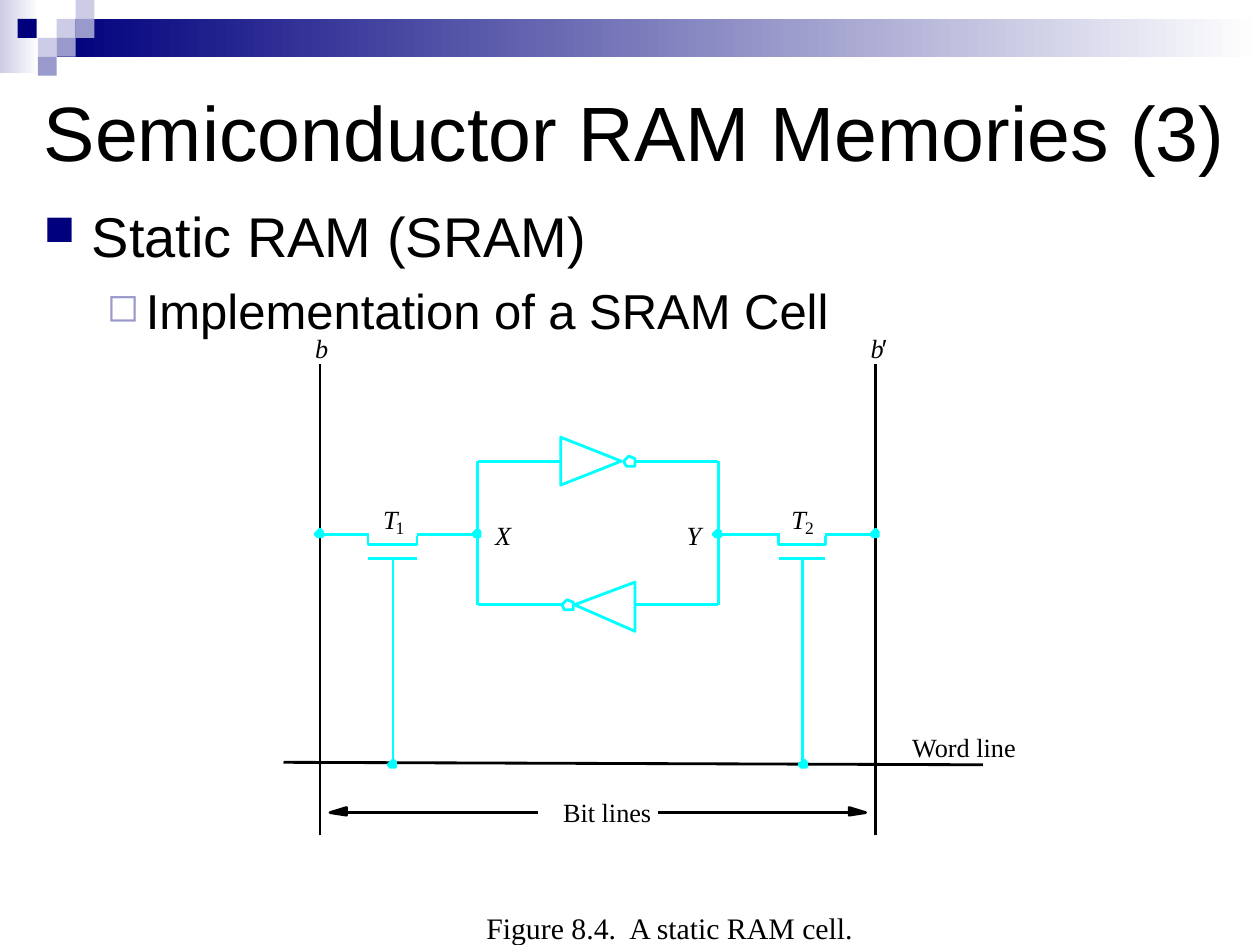
"""Build a slide showing the circuit of a static RAM cell."""
from lxml import etree
from pptx import Presentation
from pptx.dml.color import RGBColor
from pptx.enum.shapes import MSO_CONNECTOR, MSO_SHAPE
from pptx.enum.text import MSO_ANCHOR, MSO_AUTO_SIZE
from pptx.oxml.ns import qn
from pptx.util import Inches, Pt

RECTANGLE = MSO_SHAPE.RECTANGLE
STRAIGHT = MSO_CONNECTOR.STRAIGHT
MIDDLE = MSO_ANCHOR.MIDDLE
FIT_SHAPE = MSO_AUTO_SIZE.SHAPE_TO_FIT_TEXT

THEME = {
    "colors": {name: RGBColor.from_string(code) for name, code in {
        "black": "000000", "white": "FFFFFF", "cyan": "00FFFF",
        "navy": "00007D", "lilac": "9999CC", "pale": "CCCCE6"}.items()},
    "fonts": {
        "title": {"name": "Arial", "size": Pt(44)},
        "topic": {"name": "Arial", "size": Pt(32)},
        "subtopic": {"name": "Arial", "size": Pt(28)},
        "prime": {"name": "Arial", "size": Pt(15)},
        "label": {"name": "Times New Roman", "size": Pt(15)},
        "symbol": {"name": "Times New Roman", "size": Pt(15), "italic": True},
        "index": {"name": "Times New Roman", "size": Pt(10)},
        "caption": {"name": "Times New Roman", "size": Pt(17)}},
    "stroke": Pt(1.62),
}
COLORS = THEME["colors"]


def paint(shape, fill=None, stroke=None):
    shape.shadow.inherit = False
    if fill:
        shape.fill.solid()
        shape.fill.fore_color.rgb = COLORS[fill]
    else:
        shape.fill.background()
    if stroke:
        shape.line.color.rgb = COLORS[stroke]
        shape.line.width = THEME["stroke"]
    else:
        shape.line.fill.background()


def write(paragraph, text, role):
    run = paragraph.add_run()
    run.text = text
    for attribute, value in THEME["fonts"][role].items():
        setattr(run.font, attribute, value)
    run.font.color.rgb = COLORS["black"]


prs = Presentation()
prs.slide_width, prs.slide_height = Inches(10), Inches(7.5)
slide = prs.slides.add_slide(prs.slide_layouts[6])
shapes = slide.shapes

for left, top, width, height, start in [
    (0, 0, 0.31, 0.58, "pale"),
    (0.45, 0.15, 9.55, 0.3, "navy"),
]:
    band = shapes.add_shape(RECTANGLE, Inches(left), Inches(top), Inches(width), Inches(height))
    paint(band)
    band.fill.gradient()
    band.fill.gradient_angle = 0
    for stop, color in zip(band.fill.gradient_stops, (start, "white")):
        stop.color.rgb = COLORS[color]

TILE = 0.15
for left, row, color in [
    (0.45, 1, "pale"), (0.6, 0, "pale"), (0.6, 1, "lilac"), (0.3, 2, "pale"),
    (0.14, 1, "navy"), (0.45, 2, "lilac"), (0.3, 3, "lilac"),
]:
    tile = shapes.add_shape(RECTANGLE, Inches(left), Inches(row * TILE), Inches(TILE), Inches(TILE))
    paint(tile, color)

title = shapes.add_textbox(Inches(0.25), Inches(0.5), Inches(9.58), Inches(1.08)).text_frame
title.word_wrap = True
title.vertical_anchor = MIDDLE
write(title.paragraphs[0], "Semiconductor RAM Memories (3)", "title")

outline = shapes.add_textbox(Inches(0.25), Inches(1.55), Inches(9), Inches(5.2)).text_frame
outline.word_wrap = True
for level, (text, role, margin, hanging, mark, color, percent) in enumerate([
    ("Static RAM (SRAM)", "topic", 0.38, 0.38, "■", "navy", 75),
    ("Implementation of a SRAM Cell", "subtopic", 0.81, 0.31, "◻", "lilac", 80),
]):
    item = outline.add_paragraph() if level else outline.paragraphs[0]
    item.level = level
    if level:
        item.space_before = Pt(7)
    properties = item._p.get_or_add_pPr()
    properties.set("marL", str(Inches(margin)))
    properties.set("indent", str(-Inches(hanging)))
    bullet_color = etree.SubElement(properties, qn("a:buClr"))
    etree.SubElement(bullet_color, qn("a:srgbClr"), val=str(COLORS[color]))
    etree.SubElement(properties, qn("a:buSzPct"), val=str(percent * 1000))
    etree.SubElement(properties, qn("a:buChar"), char=mark)
    write(item, text, role)

BIT, BIT_BAR = 2.54, 6.95
NODE_X, NODE_Y = 3.79, 5.7
TOP, MID, LOW, WORD = 3.66, 4.24, 4.8, 6.05
GATE, ARROW = 4.43, 6.45
TRANSISTORS = [(2.92, 0.39, 3.12, BIT, NODE_X), (6.18, 0.37, 6.37, NODE_Y, BIT_BAR)]

wires = [
    (7.8, 6.07, 2.25, WORD, "black"),
    (2.75, ARROW, 4.27, ARROW, "black"),
    (6.74, ARROW, 5.22, ARROW, "black"),
]
wires += [(x, 6.63, x, 2.89, "black") for x in (BIT, BIT_BAR)]
wires += [(x, LOW, x, TOP, "cyan") for x in (NODE_X, NODE_Y)]
for y in (TOP, LOW):
    wires += [(4.45, y, NODE_X, y, "cyan"), (NODE_Y, y, 5.04, y, "cyan")]

for left, width, gate, source, drain in TRANSISTORS:
    right = left + width
    channel = shapes.add_shape(RECTANGLE, Inches(left), Inches(MID), Inches(width), Inches(0.08))
    paint(channel, stroke="cyan")
    wires += [
        (left, MID, source, MID, "cyan"),
        (right, GATE, left, GATE, "cyan"),
        (gate, WORD, gate, GATE, "cyan"),
        (left + 0.01, MID, left + 0.48, MID, "white"),
        (drain, MID, right, MID, "cyan"),
    ]

for x1, y1, x2, y2, color in wires:
    wire = shapes.add_connector(STRAIGHT, Inches(x1), Inches(y1), Inches(x2), Inches(y2))
    wire.line.color.rgb = COLORS[color]
    wire.line.width = THEME["stroke"]
    etree.SubElement(wire._element.spPr, qn("a:effectLst"))

BUBBLE = [(0, -0.04), (-0.02, -0.02), (-0.04, 0), (-0.02, 0.04),
          (0, 0.04), (0.05, 0.04), (0.05, 0), (0.05, -0.02)]
JUNCTION = [(0, -0.04), (-0.04, 0), (-0.02, 0.02), (0, 0.02), (0.02, 0.02), (0.02, -0.02)]
polygons = [
    ([(4.45, 3.47), (4.93, TOP), (4.45, 3.85)], None, "cyan"),
    ([(5.04, 4.62), (4.56, LOW), (5.04, 5.01)], None, "cyan"),
    ([(2.75, 6.41), (2.62, ARROW), (2.75, 6.47)], "black", "black"),
    ([(6.74, 6.47), (6.87, ARROW), (6.74, 6.41)], "black", "black"),
]
for marker, fill, centers in [
    (BUBBLE, "white", [(4.99, TOP), (4.5, LOW)]),
    (JUNCTION, "cyan", [(x, MID) for x in (BIT, NODE_X, NODE_Y, BIT_BAR)]
     + [(3.12, 6.07), (6.38, 6.07)]),
]:
    polygons += [([(x + dx, y + dy) for dx, dy in marker], fill, "cyan") for x, y in centers]

for corners, fill, stroke in polygons:
    points = [(Inches(x), Inches(y)) for x, y in corners]
    builder = shapes.build_freeform(*points[0])
    builder.add_line_segments(points[1:], close=True)
    paint(builder.convert_to_shape(), fill, stroke)

for text, role, left, top, width, height in [
    ("b", "symbol", 2.5, 2.64, 0.11, 0.25),
    ("b", "symbol", 6.91, 2.64, 0.11, 0.25),
    ("′", "prime", 7, 2.64, 0.07, 0.25),
    ("T", "symbol", 3.04, 3.99, 0.12, 0.25),
    ("1", "index", 3.14, 4.1, 0.07, 0.17),
    ("T", "symbol", 6.28, 3.99, 0.12, 0.25),
    ("2", "index", 6.39, 4.1, 0.07, 0.17),
    ("X", "symbol", 3.93, 4.12, 0.13, 0.25),
    ("Y", "symbol", 5.45, 4.12, 0.12, 0.25),
    ("Word line", "label", 7.24, 5.8, 0.84, 0.25),
    ("Bit lines", "label", 4.47, 6.32, 0.7, 0.25),
    ("Figure 8.4.  A static RAM cell.", "caption", 3.86, 7.22, 2.94, 0.28),
]:
    label = shapes.add_textbox(Inches(left), Inches(top), Inches(width), Inches(height)).text_frame
    for attribute, value in {"margin_left": 0, "margin_top": 0, "margin_right": 0,
                             "margin_bottom": 0, "word_wrap": False,
                             "auto_size": FIT_SHAPE}.items():
        setattr(label, attribute, value)
    write(label.paragraphs[0], text, role)

prs.save("out.pptx")
